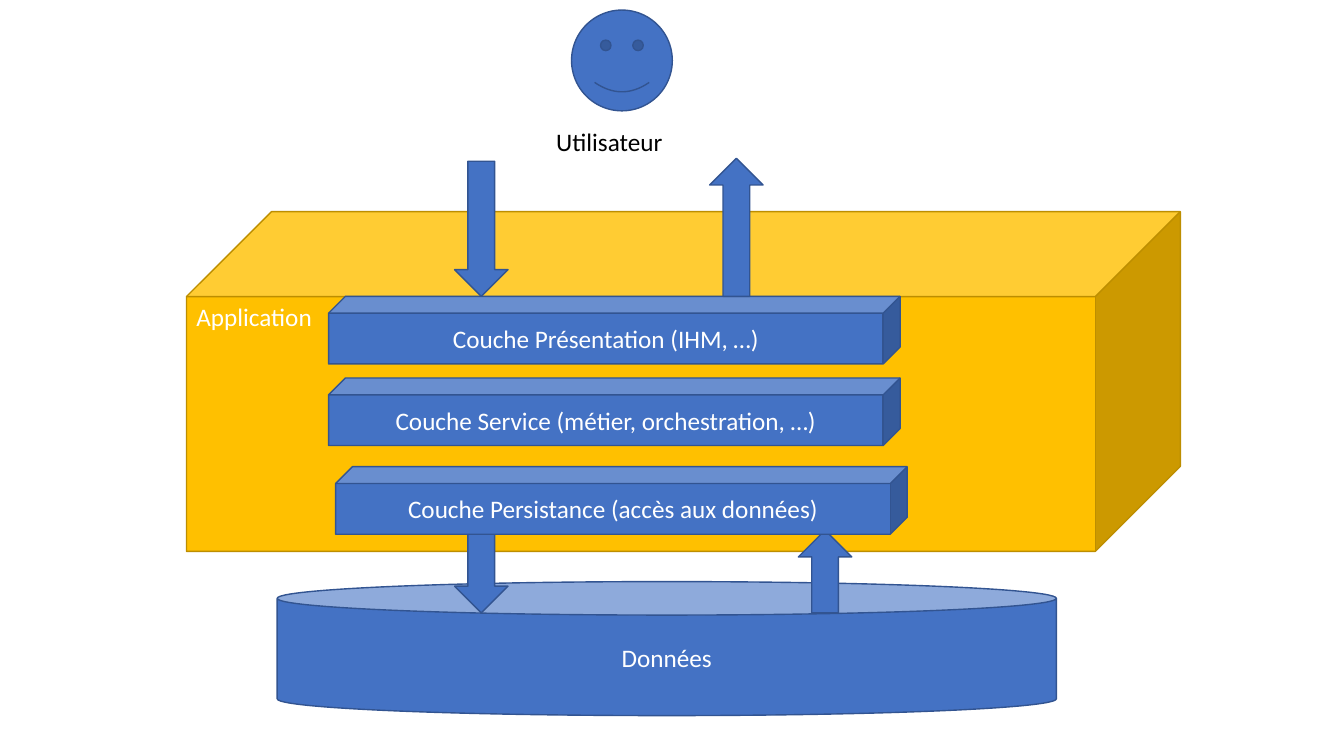
import pptx
import pptx.dml.color
import pptx.enum.shapes
import pptx.enum.text
import pptx.util

COLORS = {
    "blue": "4472C4", "blue_edge": "325491",
    "gold": "FFC000", "gold_edge": "BD8E00",
    "black": "000000", "white": "FFFFFF",
}
SHAPES = pptx.enum.shapes.MSO_SHAPE
ALIGN = pptx.enum.text.PP_ALIGN
ANCHOR = pptx.enum.text.MSO_ANCHOR
COLUMNS, ROWS = 40, 30


def color(name):
    return pptx.dml.color.RGBColor.from_string(COLORS[name])


def write(shape, text, ink="white", size=18, font="Calibri",
          align=ALIGN.CENTER, anchor=ANCHOR.MIDDLE):
    frame = shape.text_frame
    frame.word_wrap = True
    frame.vertical_anchor = anchor
    paragraph = frame.paragraphs[0]
    paragraph.alignment = align
    run = paragraph.add_run()
    run.text = text
    run.font.name = font
    run.font.size = pptx.util.Pt(size)
    run.font.color.rgb = color(ink)


class Diagram:
    """Draws on one slide, with positions in grid columns and rows."""

    def __init__(self, presentation):
        self.slide = presentation.slides.add_slide(presentation.slide_layouts[6])
        self.column = presentation.slide_width / COLUMNS
        self.row = presentation.slide_height / ROWS

    def box(self, left, top, width, height):
        return [round(length) for length in (
            left * self.column, top * self.row,
            width * self.column, height * self.row)]

    def block(self, kind, *place, hue="blue", text=None, **style):
        shape = self.slide.shapes.add_shape(kind, *self.box(*place))
        shape.shadow.inherit = False
        shape.fill.solid()
        shape.fill.fore_color.rgb = color(hue)
        shape.line.color.rgb = color(hue + "_edge")
        shape.line.width = pptx.util.Pt(1)
        if text:
            write(shape, text, **style)
        return shape

    def arrow(self, left, top, height, up=False):
        shape = self.block(SHAPES.DOWN_ARROW, left, top, 1.59, height)
        shape.rotation = 180 if up else 0

    def label(self, text, *place, **style):
        shape = self.slide.shapes.add_textbox(*self.box(*place))
        write(shape, text, **style)
        shape.text_frame.auto_size = pptx.enum.text.MSO_AUTO_SIZE.SHAPE_TO_FIT_TEXT


presentation = pptx.Presentation()
presentation.slide_width = pptx.util.Inches(13.33)
presentation.slide_height = pptx.util.Inches(7.5)
diagram = Diagram(presentation)

# User
diagram.block(SHAPES.SMILEY_FACE, 17.01, 0.4, 3, 4)
diagram.label("Utilisateur", 16.26, 4.8, 4.53, 1.6, ink="black",
              align=ALIGN.LEFT, anchor=ANCHOR.TOP)

# Data store and application
diagram.block(SHAPES.CAN, 8.25, 23.08, 23.19, 5.32, text="Données")
diagram.block(SHAPES.CUBE, 5.55, 8.4, 29.58, 13.48, hue="gold",
              text="Application", align=ALIGN.LEFT, anchor=ANCHOR.TOP)

# Exchanges between persistence and data
diagram.arrow(13.53, 21.04, 3.28)
diagram.arrow(23.76, 21.04, 3.28, up=True)

# Application layers
for left, top, text in (
    (9.78, 11.76, "Couche Présentation (IHM, …)"),
    (9.78, 15, "Couche Service (métier, orchestration, …)"),
    (9.99, 18.52, "Couche Persistance (accès aux données)"),
):
    diagram.block(SHAPES.CUBE, left, top, 17.01, 2.68, text=text)

# Exchanges between user and presentation
diagram.arrow(13.53, 6.4, 5.36)
diagram.arrow(21.12, 6.28, 5.48, up=True)

presentation.save("out.pptx")
